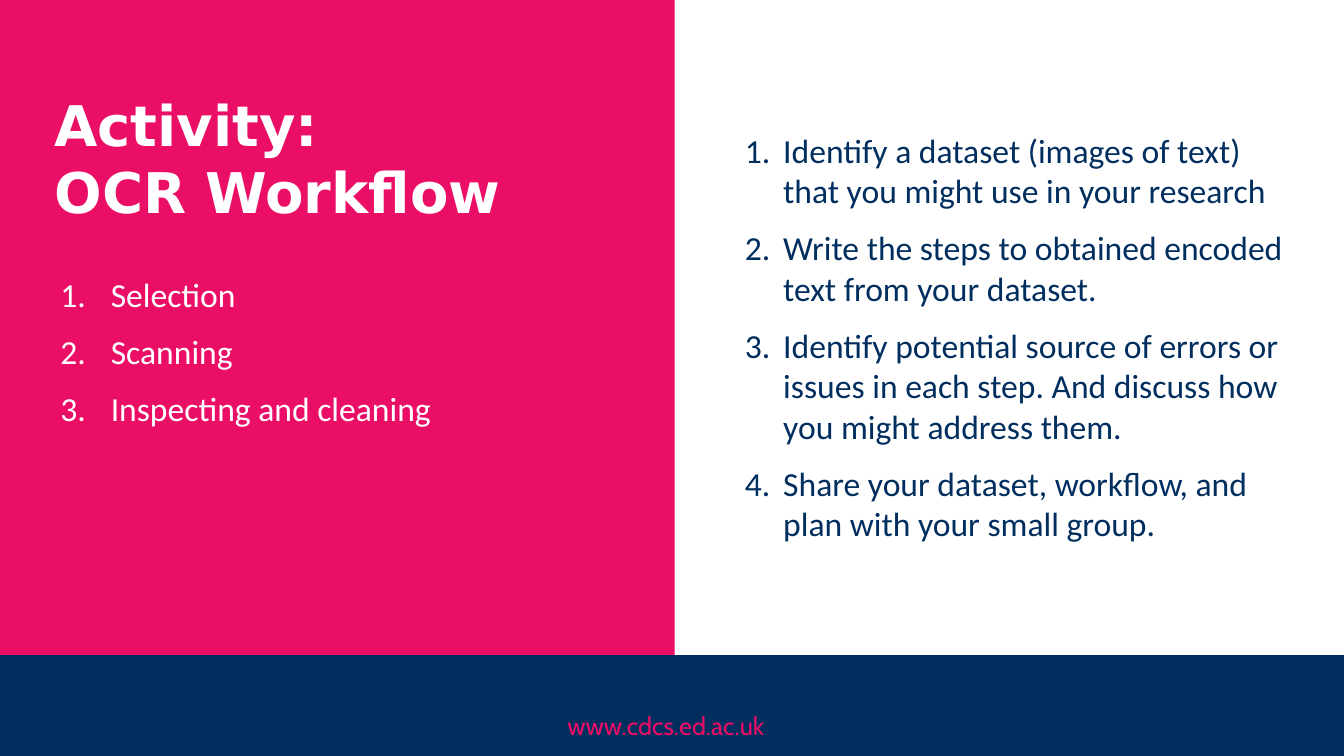
"""Build the OCR workflow activity slide."""
from dataclasses import dataclass

import lxml.etree
import pptx
import pptx.dml.color
import pptx.enum.shapes
import pptx.enum.text
import pptx.oxml.ns
import pptx.shapes.autoshape
import pptx.slide
import pptx.util

PX = 9144
PINK = pptx.dml.color.RGBColor(0xEB, 0x0E, 0x67)
NAVY = pptx.dml.color.RGBColor(0x00, 0x2E, 0x5F)
WHITE = pptx.dml.color.RGBColor(0xFF, 0xFF, 0xFF)


@dataclass(frozen=True)
class Box:
    left: int
    top: int
    width: int
    height: int

    def emu(self) -> list[int]:
        return [n * PX for n in (self.left, self.top, self.width, self.height)]


@dataclass(frozen=True)
class Panel:
    box: Box
    fill: pptx.dml.color.RGBColor


@dataclass(frozen=True)
class Text:
    box: Box
    lines: tuple[str, ...]
    font: str
    size: int
    color: pptx.dml.color.RGBColor
    bold: bool = False
    margin: int = 0
    hang: int = 0
    after: int = 0


PANELS = (
    Panel(Box(0, 0, 669, 750), PINK),
    Panel(Box(0, 650, 1333, 100), NAVY),
)
TITLE = Text(Box(44, 85, 582, 145), ("Activity:", "OCR Workflow"),
             "DejaVu Sans", 40, WHITE, bold=True)
TEXTS = (
    Text(Box(553, 700, 227, 40), ("www.cdcs.ed.ac.uk",), "Cabin", 18, PINK),
    Text(Box(729, 124, 566, 424), (
        "Identify a dataset (images of text) that you might use in your research",
        "Write the steps to obtained encoded text from your dataset.",
        "Identify potential source of errors or issues in each step. "
        "And discuss how you might address them.",
        "Share your dataset, workflow, and plan with your small group.",
    ), "Calibri", 24, NAVY, margin=38, hang=38, after=12),
    Text(Box(0, 267, 632, 165), ("Selection", "Scanning", "Inspecting and cleaning"),
         "Calibri", 24, WHITE, margin=100, hang=50, after=12),
)


def add_panel(slide: pptx.slide.Slide, panel: Panel) -> None:
    rect = pptx.enum.shapes.MSO_SHAPE.RECTANGLE
    shape = slide.shapes.add_shape(rect, *panel.box.emu())
    shape.shadow.inherit = False
    shape.fill.solid()
    shape.fill.fore_color.rgb = panel.fill
    shape.line.fill.background()


def fill_text(shape: pptx.shapes.autoshape.Shape, text: Text) -> None:
    frame = shape.text_frame
    frame.word_wrap = True
    frame.auto_size = pptx.enum.text.MSO_AUTO_SIZE.SHAPE_TO_FIT_TEXT
    frame.vertical_anchor = pptx.enum.text.MSO_ANCHOR.TOP
    for i, line in enumerate(text.lines):
        para = frame.add_paragraph() if i else frame.paragraphs[0]
        para.alignment = pptx.enum.text.PP_ALIGN.LEFT
        if text.hang:
            props = para._p.get_or_add_pPr()
            props.set("marL", str(text.margin * PX))
            props.set("indent", str(-text.hang * PX))
            lxml.etree.SubElement(props, pptx.oxml.ns.qn("a:buFont"), typeface="+mj-lt")
            lxml.etree.SubElement(props, pptx.oxml.ns.qn("a:buAutoNum"), type="arabicPeriod")
        para.space_after = pptx.util.Pt(text.after)
        run = para.add_run()
        run.text = line
        run.font.name = text.font
        run.font.size = pptx.util.Pt(text.size)
        run.font.bold = text.bold
        run.font.color.rgb = text.color


def add_title(slide: pptx.slide.Slide, text: Text) -> None:
    title = slide.shapes.title
    title.left, title.top, title.width, title.height = text.box.emu()
    slide.shapes.element.append(title.element)
    fill_text(title, text)


def main() -> None:
    deck = pptx.Presentation()
    deck.slide_width, deck.slide_height = 1333 * PX, 750 * PX
    slide = deck.slides.add_slide(deck.slide_layouts.get_by_name("Title Only"))
    for panel in PANELS:
        add_panel(slide, panel)
    add_title(slide, TITLE)
    for text in TEXTS:
        fill_text(slide.shapes.add_textbox(*text.box.emu()), text)
    deck.save("out.pptx")


if __name__ == "__main__":
    main()
